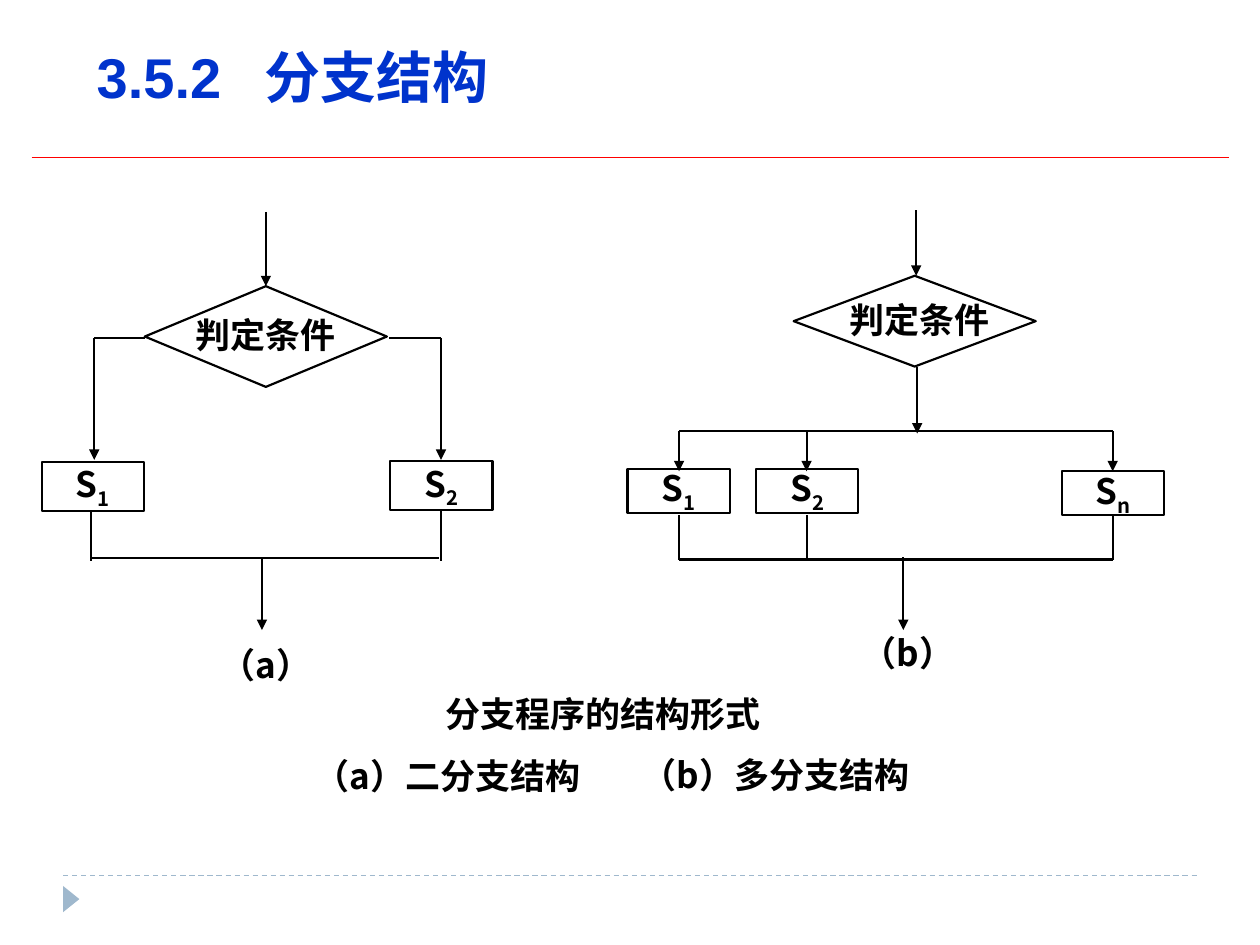
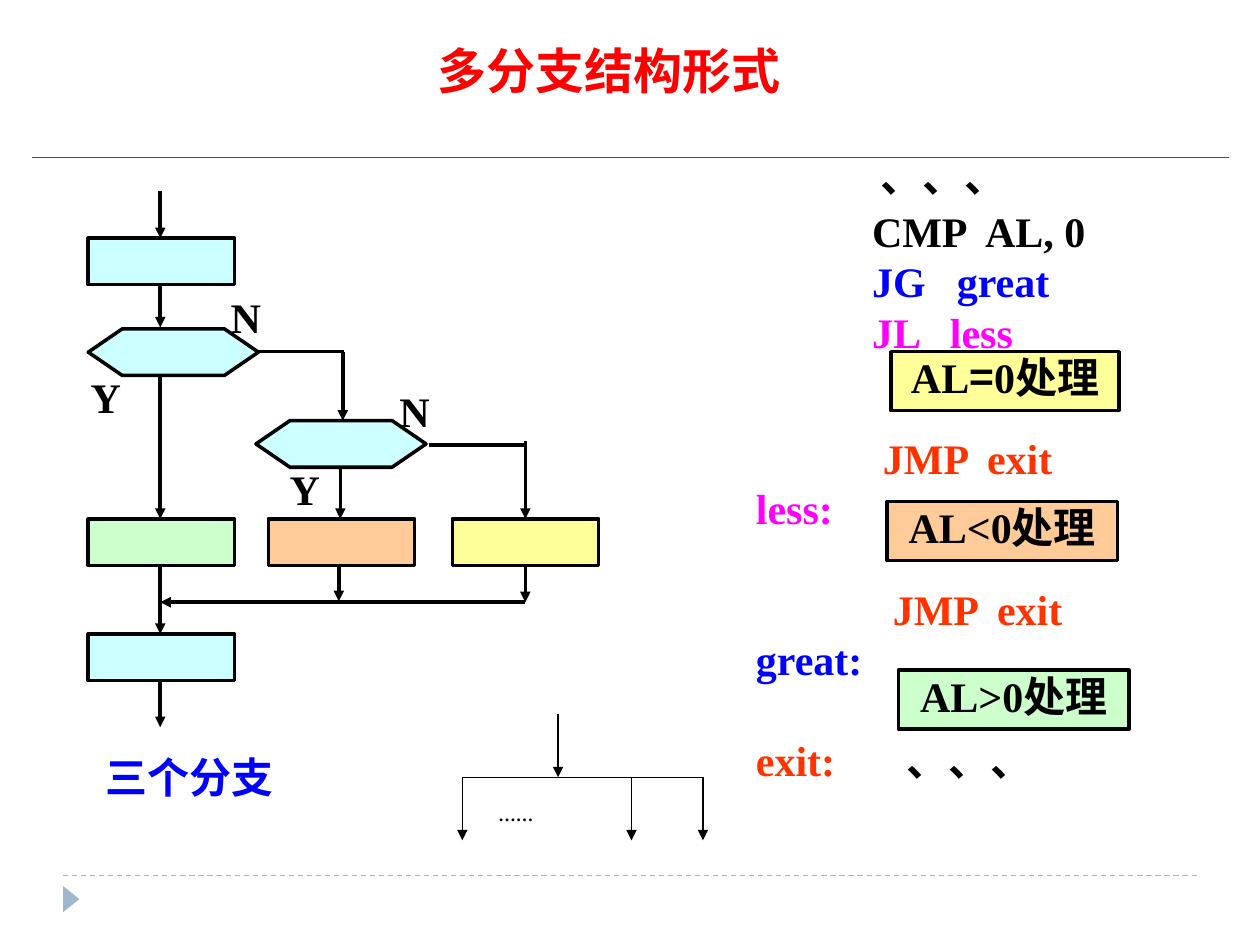
from dataclasses import dataclass, field

from lxml import etree
from pptx import Presentation
from pptx.dml.color import RGBColor
from pptx.enum.dml import MSO_LINE
from pptx.enum.shapes import MSO_CONNECTOR, MSO_SHAPE
from pptx.enum.text import MSO_ANCHOR, PP_ALIGN
from pptx.oxml.ns import qn
from pptx.util import Cm, Pt

RECT, DIAMOND = MSO_SHAPE.RECTANGLE, MSO_SHAPE.DIAMOND
HEX, WEDGE = MSO_SHAPE.FLOWCHART_PREPARATION, MSO_SHAPE.ISOSCELES_TRIANGLE
TOP, MID, BASE = MSO_ANCHOR.TOP, MSO_ANCHOR.MIDDLE, MSO_ANCHOR.BOTTOM
LEFT, MIDST = PP_ALIGN.LEFT, PP_ALIGN.CENTER
LINE, DASH = MSO_CONNECTOR.STRAIGHT, MSO_LINE.DASH


@dataclass(frozen=True)
class Theme:
    black: str = "000000"
    white: str = "FFFFFF"
    red: str = "FF0000"
    royal: str = "0033CC"
    blue: str = "0000FF"
    pink: str = "FF00FF"
    rust: str = "FF3300"
    steel: str = "9FB8CD"
    cyan: str = "CCFFFF"
    green: str = "CCFFCC"
    peach: str = "FFCC99"
    lemon: str = "FFFF99"
    sans: str = "Noto Sans CJK SC"
    serif: str = "Times New Roman"
    head: str = "Arial"
    large: float = 32
    title: float = 28
    code: float = 24
    body: float = 20
    tiny: float = 10
    pitch: float = 28.8
    sub: int = -25000
    thin: float = 0.75
    mid: float = 1.25
    thick: float = 2


T = Theme()


@dataclass(frozen=True)
class Run:
    text: str
    size: float = T.body
    face: str = T.sans
    tint: str = T.black
    base: int = 0


@dataclass(frozen=True)
class Para:
    runs: list[Run]
    tabs: tuple[float, ...] = ()
    gap: float = 0
    pitch: float | None = None


@dataclass(frozen=True)
class Box:
    x: float
    y: float
    w: float
    h: float
    paras: list[Para] = field(default_factory=list)
    fill: str | None = None
    kind: int = RECT
    edge: float = T.mid
    align: int = LEFT
    anchor: int = TOP
    pad: tuple[float, float] = (0, 0)


@dataclass(frozen=True)
class Wire:
    x1: float
    y1: float
    x2: float
    y2: float
    arrow: bool = False


def put(target, values: dict) -> None:
    for name, value in values.items():
        setattr(target, name, value)


def write(frame, paras: list[Para], align: int, anchor: int, pad: tuple[float, float]) -> None:
    side, top = map(Cm, pad)
    put(frame, {"word_wrap": True, "vertical_anchor": anchor, "margin_left": side,
                "margin_right": side, "margin_top": top, "margin_bottom": top})
    for i, para in enumerate(paras):
        p = frame.add_paragraph() if i else frame.paragraphs[0]
        put(p, {"alignment": align, "space_before": Pt(para.gap)})
        if para.pitch:
            p.line_spacing = Pt(para.pitch)
        if para.tabs:
            stops = etree.SubElement(p._p.get_or_add_pPr(), qn("a:tabLst"))
            for stop in para.tabs:
                etree.SubElement(stops, qn("a:tab"), pos=str(int(Cm(stop))), algn="l")
        for item in para.runs:
            run = p.add_run()
            run.text = item.text
            put(run.font, {"size": Pt(item.size), "name": item.face, "bold": True})
            run.font.color.rgb = RGBColor.from_string(item.tint)
            props = run._r.get_or_add_rPr()
            etree.SubElement(props, qn("a:ea"), typeface=T.sans)
            if item.base:
                props.set("baseline", str(item.base))


def draw(slide, box: Box) -> None:
    place = [Cm(v) for v in (box.x, box.y, box.w, box.h)]
    if box.fill:
        shape = slide.shapes.add_shape(box.kind, *place)
        shape.shadow.inherit = False
        shape.fill.solid()
        shape.fill.fore_color.rgb = RGBColor.from_string(box.fill)
        if box.edge:
            shape.line.color.rgb = RGBColor.from_string(T.black)
            shape.line.width = Pt(box.edge)
        else:
            shape.line.fill.background()
        if box.kind == WEDGE:
            shape.rotation = 90
    else:
        shape = slide.shapes.add_textbox(*place)
    if box.paras:
        write(shape.text_frame, box.paras, box.align, box.anchor, box.pad)


def link(slide, wire: Wire, width: float, tint: str = T.black, dash: int | None = None) -> None:
    ends = [Cm(v) for v in (wire.x1, wire.y1, wire.x2, wire.y2)]
    line = slide.shapes.add_connector(LINE, *ends)
    put(line.line, {"width": Pt(width), "dash_style": dash})
    line.line.color.rgb = RGBColor.from_string(tint)
    if wire.arrow:
        etree.SubElement(line.line._get_or_add_ln(), qn("a:tailEnd"), type="triangle")
    etree.SubElement(line._element.spPr, qn("a:effectLst"))


def start(deck, para: Para, place: tuple[float, ...], align: int, anchor: int):
    slide = deck.slides.add_slide(deck.slide_layouts[5])
    link(slide, Wire(1.27, 17.65, 24.13, 17.65), T.thin, T.steel, DASH)
    draw(slide, Box(1.17, 17.96, 0.53, 0.33, fill=T.steel, kind=WEDGE, edge=0))
    link(slide, Wire(0.64, 3.18, 24.77, 3.18), T.thin, T.red)
    title = slide.shapes.title
    put(title, dict(zip(("left", "top", "width", "height"), map(Cm, place))))
    write(title.text_frame, [para], align, anchor, (0.25, 0.13))
    return slide


def step(x: float, y: float, h: float, mark: str) -> Box:
    runs = [Run("S"), Run(mark, base=T.sub)]
    return Box(x, y, 2.06, h, [Para(runs)], T.white, align=MIDST, anchor=MID)


def note(text: str, x: float, y: float, w: float, h: float, align: int = LEFT) -> Box:
    return Box(x, y, w, h, [Para([Run(text)])], align=align)


def drop(x: float, y1: float, y2: float, arrow: bool = True) -> Wire:
    return Wire(x, y1, x, y2, arrow)


def flat(y: float, x1: float, x2: float, arrow: bool = False) -> Wire:
    return Wire(x1, y, x2, y, arrow)


def forms(deck) -> None:
    head = Para([Run("3.5.2\t分支结构", T.large, T.head, T.royal)], (3.38,))
    slide = start(deck, head, (1.7, 0.64, 22.86, 1.7), LEFT, BASE)
    test = "判定条件"
    boxes = [
        Box(2.92, 5.77, 4.88, 2.03, fill=T.white, kind=DIAMOND),
        note(test, 3.94, 6.32, 3.23, 1.12),
        step(0.84, 9.32, 0.99, "1"),
        step(7.87, 9.3, 0.99, "2"),
        Box(16, 5.56, 4.88, 1.83, fill=T.white, kind=DIAMOND),
        note(test, 17.12, 6.02, 3.3, 0.76),
        step(12.65, 9.45, 0.89, "1"),
        step(15.24, 9.45, 0.89, "2"),
        step(21.41, 9.5, 0.89, "n"),
        note("（a）二分支结构", 5.97, 15.21, 6.1, 1.14, MIDST),
        note("（b）多分支结构", 12.65, 15.19, 5.97, 1.35, MIDST),
        note("（b）", 17.37, 12.73, 3.18, 1.19),
        note("（a）", 4.45, 12.98, 3.43, 0.97),
        note("分支程序的结构形式", 7.66, 13.97, 8.99, 1.02, MIDST),
    ]
    wires = [
        drop(5.36, 4.27, 5.77), flat(6.81, 2.92, 1.9), drop(1.9, 6.81, 9.27),
        drop(1.83, 10.31, 11.3, False), flat(6.81, 7.85, 8.89),
        drop(8.89, 6.81, 9.27), drop(8.89, 10.31, 11.3, False),
        flat(11.25, 1.83, 8.84), drop(5.28, 11.25, 12.7),
        drop(18.47, 4.24, 5.56), drop(18.49, 7.39, 8.74),
        flat(8.69, 13.69, 22.43), flat(11.28, 13.69, 22.43),
        drop(18.21, 11.23, 12.7),
    ]
    for x in (13.69, 16.26, 22.43):
        wires += [drop(x, 8.69, 9.5), drop(x, 10.39, 11.28, False)]
    for box in boxes:
        draw(slide, box)
    for wire in wires:
        link(slide, wire, T.mid)


def serif(text: str, tint: str = T.black) -> Run:
    return Run(text, T.code, T.serif, tint)


def row(text: str, tint: str, tabs: tuple[float, ...], gap: float = 0) -> Para:
    return Para([serif(text, tint)], tabs, gap, T.pitch)


def cases(deck) -> None:
    head = Para([Run("多分支结构形式", T.title, T.serif, T.red)])
    slide = start(deck, head, (6.78, 0.69, 11, 1.45), MIDST, TOP)
    for x, y, tint in ((1.78, 4.8, T.cyan), (1.78, 10.46, T.green), (5.41, 10.46, T.peach),
                       (9.12, 10.46, T.lemon), (1.78, 12.78, T.cyan)):
        draw(slide, Box(x, y, 2.95, 0.94, fill=tint, edge=T.thick))
    for x, y in ((1.78, 6.63), (5.16, 8.48)):
        draw(slide, Box(x, y, 3.43, 0.94, fill=T.cyan, kind=HEX, edge=T.thick))
    trunk = ((3.86, 4.8), (5.74, 6.6), (7.59, 10.46), (11.38, 12.78), (13.72, 14.66))
    wires = [drop(3.23, *span) for span in trunk] + [
        drop(6.86, 9.42, 10.46), flat(12.14, 10.59, 3.23, True),
        drop(10.59, 11.38, 12.14), drop(6.83, 11.38, 12.12),
        flat(8.97, 8.64, 10.59), drop(10.59, 8.89, 10.46),
        flat(7.09, 5.21, 6.93), drop(6.91, 7.09, 8.48),
    ]
    for wire in wires:
        link(slide, wire, T.thick)
    rows = [
        row("\t、、、", T.black, (2.52,)),
        row("\tCMP\tAL, 0", T.black, (2.34, 4.62), 2.6),
        row("\tJG\tgreat", T.blue, (2.34, 4.05)),
        row("\tJL\tless", T.pink, (2.34, 3.91)),
        row("\tJMP\texit", T.rust, (2.56, 4.66), 43.2),
        row("less:", T.pink, ()),
        row("\tJMP\texit", T.rust, (2.76, 4.86), T.pitch),
        row("great:", T.blue, ()),
        Para([serif("exit:\t", T.rust), serif("、、、")], (3.04,), T.pitch, T.pitch),
    ]
    draw(slide, Box(15.24, 2.34, 10.26, 14.6, rows, pad=(0, 0.69)))
    equal = [serif("AL"), Run("=", T.code), serif("0处理")]
    for x, y, w, runs, tint in ((17.96, 7.09, 4.6, equal, T.lemon),
                                (18.11, 13.51, 4.65, [serif("AL>0处理")], T.green),
                                (17.88, 10.11, 4.65, [serif("AL<0处理")], T.peach)):
        draw(slide, Box(x, y, w, 1.19, [Para(runs)], tint, edge=T.thick, align=MIDST))
    for text, x, y, w in (("Y", 1.83, 7.49, 1.35), ("Y", 5.84, 9.35, 1.35),
                          ("N", 4.65, 5.87, 1.35), ("N", 8.05, 7.77, 1.35)):
        draw(slide, Box(x, y, w, 1.19, [Para([serif(text)])]))
    draw(slide, Box(2.13, 15.16, 4.45, 1.75, [Para([serif("三个分支", T.blue)])]))
    fan = [drop(11.25, 14.4, 15.67), flat(15.67, 9.32, 14.17)]
    fan += [drop(x, 15.67, 16.94) for x in (9.32, 12.73, 14.17)]
    for wire in fan:
        link(slide, wire, T.thin)
    dots = Para([Run("……", T.tiny, T.serif)])
    draw(slide, Box(9.8, 16.08, 2.44, 1.7, [dots], pad=(0.25, 0.13)))


def main() -> None:
    deck = Presentation()
    put(deck, {"slide_width": Cm(25.4), "slide_height": Cm(19.05)})
    forms(deck)
    cases(deck)
    deck.save("out.pptx")


if __name__ == "__main__":
    main()
